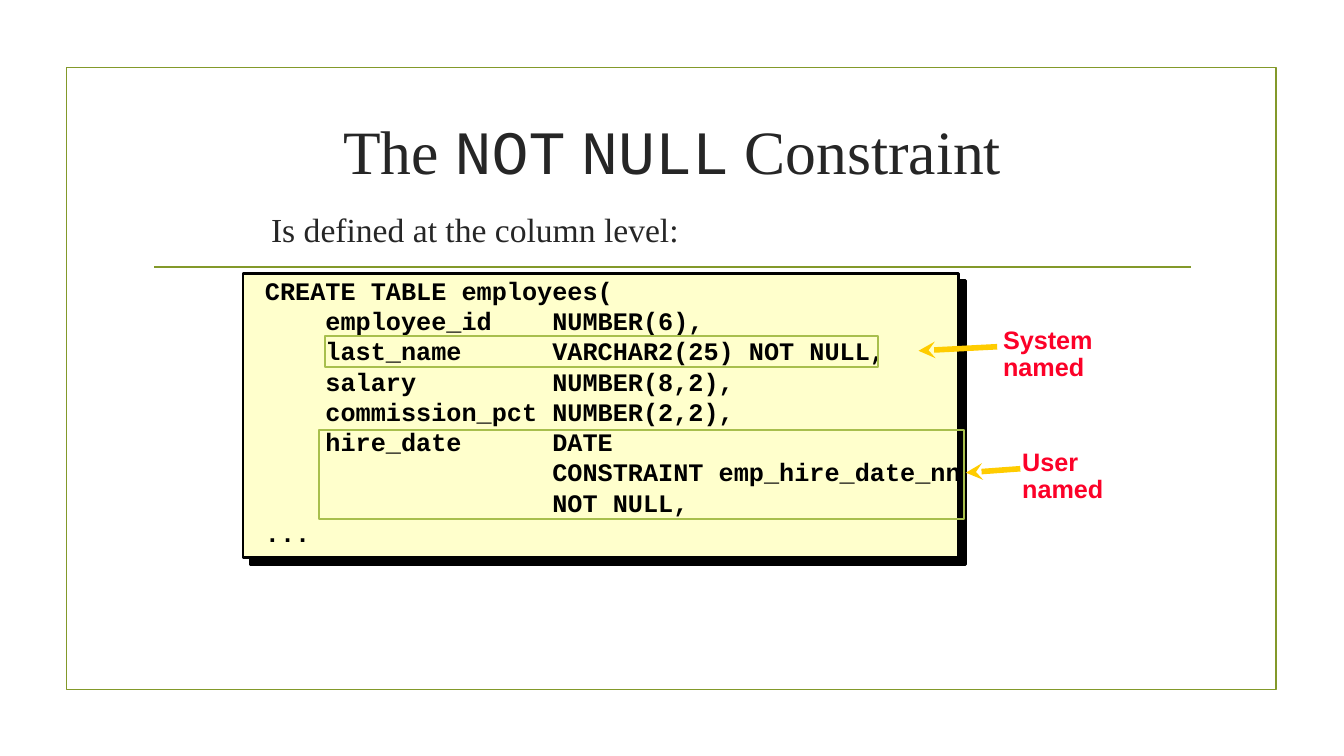
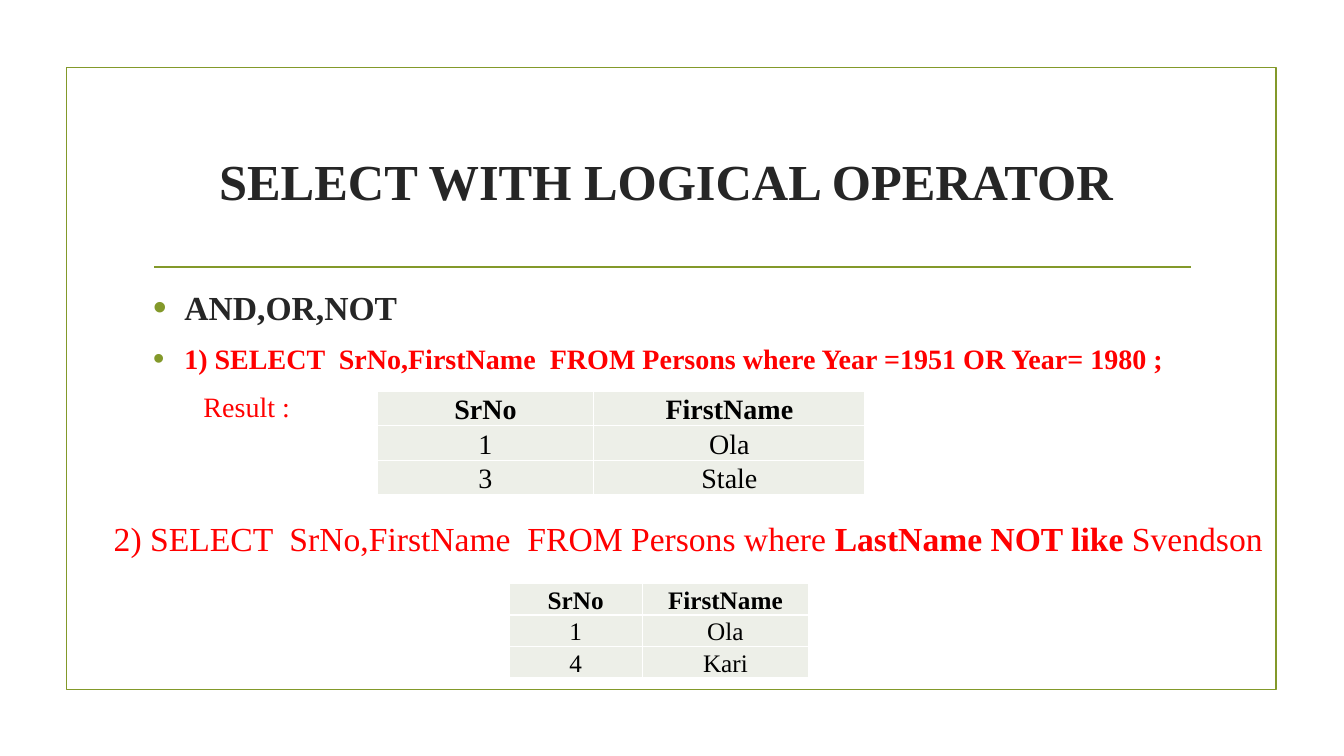
"""Build two slides on SQL constraints and logical operators."""
from lxml.etree import SubElement
from pptx import Presentation
from pptx.dml.color import RGBColor
from pptx.enum.shapes import MSO_CONNECTOR as Line, MSO_SHAPE as Shape
from pptx.enum.text import MSO_ANCHOR as Anchor, PP_ALIGN as Align
from pptx.oxml import parse_xml
from pptx.oxml.ns import nsdecls, qn
from pptx.util import Inches, Pt

OLIVE, LIME, INK, BLACK, WHITE = "83992A", "A8BF4D", "262626", "000000", "FFFFFF"
CREAM, AMBER, CRIMSON, RED, CELL = "FFFFCC", "FFCC00", "FC0128", "FF0000", "EDEFE8"
SERIF, MONO, SANS = "Times New Roman", "Courier New", "Arial"

FRAME = (0.66, 0.67, 12, 6.17)
RULE = ((1.53, 2.65), (11.81, 2.65))
TITLE = (1.42, 1.07, 10.5, 1.43)

CONSTRAINT_TITLE = [("The ", {}), ("NOT", {"name": MONO}), (" ", {}),
                    ("NULL", {"name": MONO}), (" Constraint", {})]
SUBTITLE = "Is defined at the column level:"
CODE = """CREATE TABLE employees(
    employee_id    NUMBER(6),
    last_name      VARCHAR2(25) NOT NULL,
    salary         NUMBER(8,2),
    commission_pct NUMBER(2,2),
    hire_date      DATE
                   CONSTRAINT emp_hire_date_nn
                   NOT NULL,
...""".split("\n")
HIGHLIGHTS = [(3.22, 3.33, 5.49, 0.31), (3.16, 4.27, 6.4, 0.88)]
CALLOUTS = [
    (["System", "named"], (9.85, 3.2, 1.66, 0.64), (9.11, 3.48), (9.89, 3.44)),
    (["User", "named"], (10.04, 4.41, 1.2, 0.64), (9.58, 4.69), (10.12, 4.65)),
]

OPERATOR_TITLE = [("SELECT WITH LOGICAL OPERATOR ", {"bold": True})]
BULLETS = [
    [("AND,OR,NOT", {"size": 24, "color": INK, "bold": True})],
    [("1) SELECT  SrNo,FirstName  FROM Persons where Year =1951 OR Year= 1980 ;",
      {"bold": True})],
]
RESULT = [("Result :", {})]
QUERY = [("2) SELECT  SrNo,FirstName  FROM Persons where ", {}),
         ("LastName NOT like ", {"bold": True}), ("Svendson", {})]
HEADER = ("SrNo", "FirstName")
TABLES = [
    ((3.74, 3.88), (2.15, 2.69), 0.32, 20, [HEADER, ("1", "Ola"), ("3", "Stale")]),
    ((5.05, 5.79), (1.32, 1.65), 0.28, 18, [HEADER, ("1", "Ola"), ("4", "Kari")]),
]


def rgb(color):
    """Turn a hex string into a colour."""
    return RGBColor.from_string(color)


def inches(values):
    """Convert numbers to lengths."""
    return [Inches(v) for v in values]


def set_font(font, fmt):
    """Apply a dict of font values."""
    for key, value in fmt.items():
        if key == "color":
            font.color.rgb = rgb(value)
        else:
            setattr(font, key, Pt(value) if key == "size" else value)


def write(tf, paras, fmt, **layout):
    """Fill a text frame with strings or run lists and return its paragraphs."""
    for i, runs in enumerate(paras):
        p = tf.paragraphs[0] if i == 0 else tf.add_paragraph()
        for key, value in layout.items():
            setattr(p, key, value)
        for text, extra in [(runs, {})] if isinstance(runs, str) else runs:
            r = p.add_run()
            r.text = text
            set_font(r.font, {**fmt, **extra})
    return tf.paragraphs


def add_text(s, at, paras, fmt, anchor=Anchor.TOP, **layout):
    """Add a wrapped text box and return its paragraphs."""
    tf = s.shapes.add_textbox(*inches(at)).text_frame
    tf.word_wrap = True
    tf.vertical_anchor = anchor
    return write(tf, paras, fmt, **layout)


def add_box(s, at, line, width, fill=None):
    """Add an outlined rectangle."""
    sp = s.shapes.add_shape(Shape.RECTANGLE, *inches(at))
    sp.shadow.inherit = False
    sp.line.color.rgb = rgb(line)
    sp.line.width = Pt(width)
    if fill:
        sp.fill.solid()
        sp.fill.fore_color.rgb = rgb(fill)
    else:
        sp.fill.background()
    return sp


def add_line(s, start, end, color, width, arrow=False):
    """Add a straight line, with an optional arrowhead at its start."""
    c = s.shapes.add_connector(Line.STRAIGHT, *inches(start + end))
    c.line.color.rgb = rgb(color)
    c.line.width = Pt(width)
    if arrow:
        SubElement(c.line._get_or_add_ln(), qn("a:headEnd"), type="stealth")
    SubElement(c._element.spPr, qn("a:effectLst"))


def add_hard_shadow(sp, color, distance):
    """Give a shape an unblurred shadow to its lower right."""
    shadow = SubElement(sp._element.spPr.find(qn("a:effectLst")), qn("a:outerShdw"),
                        dist=str(Pt(distance)), dir="2700000", algn="ctr", rotWithShape="0")
    SubElement(shadow, qn("a:srgbClr"), val=color)


def add_bullet(p, color):
    """Give a paragraph a hanging round bullet."""
    pPr = p._p.get_or_add_pPr()
    pPr.set("marL", str(Inches(0.31)))
    pPr.set("indent", str(Inches(-0.31)))
    SubElement(SubElement(pPr, qn("a:buClr")), qn("a:srgbClr"), val=color)
    SubElement(pPr, qn("a:buSzPct"), val="115000")
    SubElement(pPr, qn("a:buFont"), typeface=SANS)
    SubElement(pPr, qn("a:buChar"), char="•")


def style_cell(cell):
    """Set a cell's fill, margins and white borders."""
    cell.fill.solid()
    cell.fill.fore_color.rgb = rgb(CELL)
    cell.vertical_anchor = Anchor.BOTTOM
    for side in ("left", "right", "top"):
        setattr(cell, f"margin_{side}", Inches(0.01))
    cell.margin_bottom = 0
    for i, edge in enumerate("LRTB"):
        cell._tc.get_or_add_tcPr().insert(i, parse_xml(
            f'<a:ln{edge} {nsdecls("a")} w="{Pt(1)}"><a:solidFill>'
            f'<a:srgbClr val="{WHITE}"/></a:solidFill></a:ln{edge}>'))


def add_grid(s, corner, widths, row_height, size, rows):
    """Add a centred table with a bold header row."""
    extent = (sum(widths), row_height * len(rows))
    table = s.shapes.add_table(len(rows), len(widths), *inches(corner + extent)).table
    table.first_row = table.horz_banding = False
    for col, width in zip(table.columns, widths):
        col.width = Inches(width)
    for i, row in enumerate(rows):
        for j, text in enumerate(row):
            cell = table.cell(i, j)
            style_cell(cell)
            fmt = {"name": SERIF, "size": size, "color": BLACK, "bold": i == 0}
            write(cell.text_frame, [text], fmt, alignment=Align.CENTER)


def new_slide(prs, title, size, anchor):
    """Add a slide with the shared frame, rule and title."""
    s = prs.slides.add_slide(prs.slide_layouts[6])
    add_box(s, FRAME, OLIVE, 1.25)
    add_line(s, *RULE, OLIVE, 1.25)
    add_text(s, TITLE, [title], {"name": SERIF, "size": size, "color": INK},
             anchor, alignment=Align.CENTER)
    return s


def constraint_slide(prs):
    """Show the table definition with its two named constraints."""
    s = new_slide(prs, CONSTRAINT_TITLE, 44, Anchor.TOP)
    panel = add_box(s, (2.41, 2.71, 7.1, 2.82), BLACK, 2, CREAM)
    add_hard_shadow(panel, BLACK, 7.1)
    add_text(s, (2.53, 2.71, 7.2, 2.74), CODE,
             {"name": MONO, "size": 18, "color": BLACK, "bold": True}, Anchor.MIDDLE)
    add_text(s, (2.59, 2.02, 8.08, 0.51), [SUBTITLE],
             {"name": SERIF, "size": 24, "color": INK})
    for at in HIGHLIGHTS:
        add_box(s, at, LIME, 1.5)
    for label, at, tip, tail in CALLOUTS:
        add_text(s, at, label, {"name": SANS, "size": 18, "color": CRIMSON, "bold": True},
                 line_spacing=0.9)
        add_line(s, tip, tail, AMBER, 4, arrow=True)


def operator_slide(prs):
    """Show two queries with their result tables."""
    s = new_slide(prs, OPERATOR_TITLE, 36, Anchor.MIDDLE)
    body = {"name": SERIF, "size": 20, "color": RED}
    paras = add_text(s, (1.42, 2.8, 10.5, 1.5), BULLETS + [RESULT], body, space_after=Pt(6))
    for p in paras[1:]:
        p.space_before = Pt(4)
    for p in paras[:-1]:
        add_bullet(p, OLIVE)
    paras[-1]._p.get_or_add_pPr().set("marL", str(Inches(0.5)))
    for table in TABLES:
        add_grid(s, *table)
    add_text(s, (1.03, 5.09, 11.66, 0.5), [QUERY], {**body, "size": 24})


def main():
    """Build and save the presentation."""
    prs = Presentation()
    prs.slide_width, prs.slide_height = Inches(13.33), Inches(7.5)
    constraint_slide(prs)
    operator_slide(prs)
    prs.save("out.pptx")


if __name__ == "__main__":
    main()
